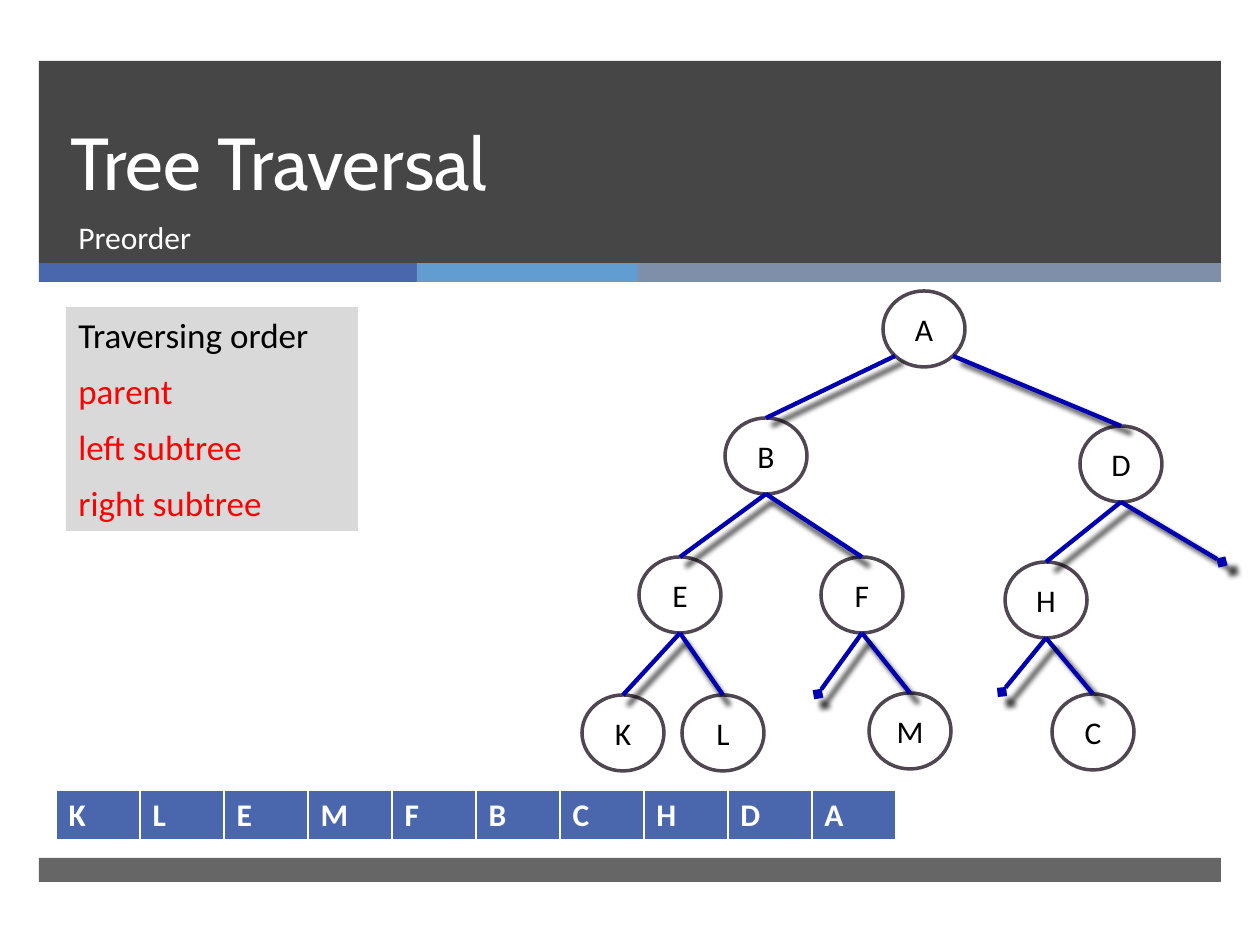
from dataclasses import dataclass

from pptx import Presentation, oxml, util as u
from pptx.dml import color
from pptx.enum import shapes, text
from pptx.oxml import ns


@dataclass(frozen=True)
class Theme:
    dark: str = "262626"
    blue: str = "4A66AC"
    sky: str = "629DD1"
    slate: str = "7F8FA9"
    panel: str = "D9D9D9"
    outline: str = "504652"
    edge: str = "0000B0"
    white: str = "FFFFFF"
    black: str = "000000"
    red: str = "FF0000"
    heading_font: str = "Cabin"
    body_font: str = "Calibri"
    title_size: int = 42
    panel_size: int = 20
    body_size: int = 18


def px(length):
    return u.Emu(round(length * 914400 / 126))


def rgb(value):
    return color.RGBColor.from_string(value)


def xml(tag, body="", attributes=""):
    return oxml.parse_xml(
        f'<a:{tag} {ns.nsdecls("a")} {attributes}>{body}</a:{tag}>'
    )


def solid(value):
    return f'<a:solidFill><a:srgbClr val="{value}"/></a:solidFill>'


class SlideBuilder:
    node_width = 82
    node_height = 76

    def __init__(self, slide, theme):
        self.slide = slide
        self.theme = theme

    def text_run(self, paragraph, words, size, ink, font=None, bold=False):
        run = paragraph.add_run()
        run.text = words
        run.font.size = u.Pt(size)
        run.font.name = font or self.theme.body_font
        run.font.bold = bold
        run.font.color.rgb = rgb(ink)

    def shape(self, kind, left, top, width, height):
        shape = self.slide.shapes.add_shape(
            kind, px(left), px(top), px(width), px(height)
        )
        shape.shadow.inherit = False
        return shape

    def rectangle(self, left, top, width, height, fill, opacity=100):
        shape = self.shape(shapes.MSO_SHAPE.RECTANGLE, left, top, width, height)
        shape.fill.solid()
        shape.fill.fore_color.rgb = rgb(fill)
        shape.line.fill.background()
        if opacity < 100:
            tint = shape._element.spPr.find(".//" + ns.qn("a:srgbClr"))
            tint.append(xml("alpha", attributes=f'val="{opacity * 1000}"'))
        return shape

    def text_box(self, left, top, width, height, words, size, font=None):
        shape = self.slide.shapes.add_textbox(
            px(left), px(top), px(width), px(height)
        )
        frame = shape.text_frame
        frame.word_wrap = True
        self.text_run(frame.paragraphs[0], words, size, self.theme.white, font)
        return frame

    def panel(self, left, top, width, height, lines):
        frame = self.rectangle(left, top, width, height, self.theme.panel).text_frame
        frame.vertical_anchor = text.MSO_ANCHOR.TOP
        for index, (words, ink) in enumerate(lines):
            paragraph = frame.add_paragraph() if index else frame.paragraphs[0]
            paragraph.alignment = text.PP_ALIGN.LEFT
            paragraph.space_after = u.Pt(4)
            if index:
                paragraph.space_before = u.Pt(4)
            self.text_run(paragraph, words, self.theme.panel_size, ink)

    def node(self, label, center, top):
        shape = self.shape(
            shapes.MSO_SHAPE.OVAL,
            center - self.node_width // 2,
            top,
            self.node_width,
            self.node_height,
        )
        shape.fill.background()
        shape.line.color.rgb = rgb(self.theme.outline)
        shape.line.width = u.Pt(2)
        shape.text_frame.vertical_anchor = text.MSO_ANCHOR.MIDDLE
        paragraph = shape.text_frame.paragraphs[0]
        paragraph.alignment = text.PP_ALIGN.CENTER
        self.text_run(paragraph, label, self.theme.body_size, self.theme.black)
        return shape

    def edge(self, start, end, child=None):
        line = self.slide.shapes.add_connector(
            shapes.MSO_CONNECTOR.STRAIGHT, *map(px, start + end)
        )
        line.line.color.rgb = rgb(self.theme.edge)
        line.line.width = u.Pt(2.5)
        if child is not None:
            line.end_connect(child, 0)
        else:
            line.get_or_add_ln().append(xml("tailEnd", attributes='type="diamond"'))
        shadow = (
            '<a:outerShdw blurRad="38100" dist="25400" dir="6600000"'
            ' sx="101000" sy="101000" rotWithShape="0">'
            f'<a:srgbClr val="{self.theme.black}"><a:alpha val="75000"/></a:srgbClr>'
            "</a:outerShdw>"
        )
        line._element.spPr.append(xml("effectLst", shadow))

    def table(self, left, top, column_width, height, labels):
        table = self.slide.shapes.add_table(
            1, len(labels), px(left), px(top), px(column_width * len(labels)), px(height)
        ).table
        for index, label in enumerate(labels):
            table.columns[index].width = px(column_width)
            cell = table.cell(0, index)
            properties = cell._tc.get_or_add_tcPr()
            for side, points in zip("LRTB", (1, 1, 1, 3)):
                width = f'w="{u.Pt(points)}"'
                properties.append(xml("ln" + side, solid(self.theme.white), width))
            cell.fill.solid()
            cell.fill.fore_color.rgb = rgb(self.theme.blue)
            self.text_run(
                cell.text_frame.paragraphs[0],
                label,
                self.theme.body_size,
                self.theme.white,
                bold=True,
            )


def main():
    presentation = Presentation()
    presentation.slide_width, presentation.slide_height = px(1260), px(945)
    theme = Theme()
    slide = presentation.slides.add_slide(presentation.slide_layouts[6])
    builder = SlideBuilder(slide, theme)

    builder.rectangle(39, 61, 1182, 202, theme.dark, 85)
    left = 39
    for width, fill in ((378, theme.blue), (221, theme.sky), (583, theme.slate)):
        builder.rectangle(left, 263, width, 19, fill)
        left += width
    builder.rectangle(39, 858, 1182, 24, theme.dark, 70)

    title = builder.text_box(
        58, 61, 1076, 150, "Tree Traversal", theme.title_size, theme.heading_font
    )
    title.vertical_anchor = text.MSO_ANCHOR.BOTTOM
    title.paragraphs[0].line_spacing = u.Pt(46)
    builder.text_box(66, 212, 1068, 67, "Preorder", theme.body_size)
    steps = ("parent", "left subtree", "right subtree")
    builder.panel(
        66, 307, 292, 224,
        [("Traversing order", theme.black)] + [(step, theme.red) for step in steps],
    )

    places = {
        "A": (924, 291), "B": (766, 418), "D": (1121, 426),
        "E": (680, 557), "F": (862, 557), "H": (1046, 562),
        "K": (623, 695), "L": (723, 695), "M": (910, 693), "C": (1093, 694),
    }
    nodes = {label: builder.node(label, *place) for label, place in places.items()}

    root_center, root_top = places["A"]
    for child, offset in (("B", -29), ("D", 29)):
        start = (root_center + offset, root_top + 65)
        builder.edge(start, places[child], nodes[child])

    def below(label):
        center, top = places[label]
        return center, top + builder.node_height

    for parent, children in (("B", "EF"), ("D", "H"), ("E", "KL"), ("F", "M"), ("H", "C")):
        for child in children:
            builder.edge(below(parent), places[child], nodes[child])
    for parent, end in (("F", (818, 694)), ("D", (1222, 562)), ("H", (1002, 692))):
        builder.edge(below(parent), end)

    builder.table(56, 790, 84, 51, "KLEMFBCHDA")
    presentation.save("out.pptx")


if __name__ == "__main__":
    main()
